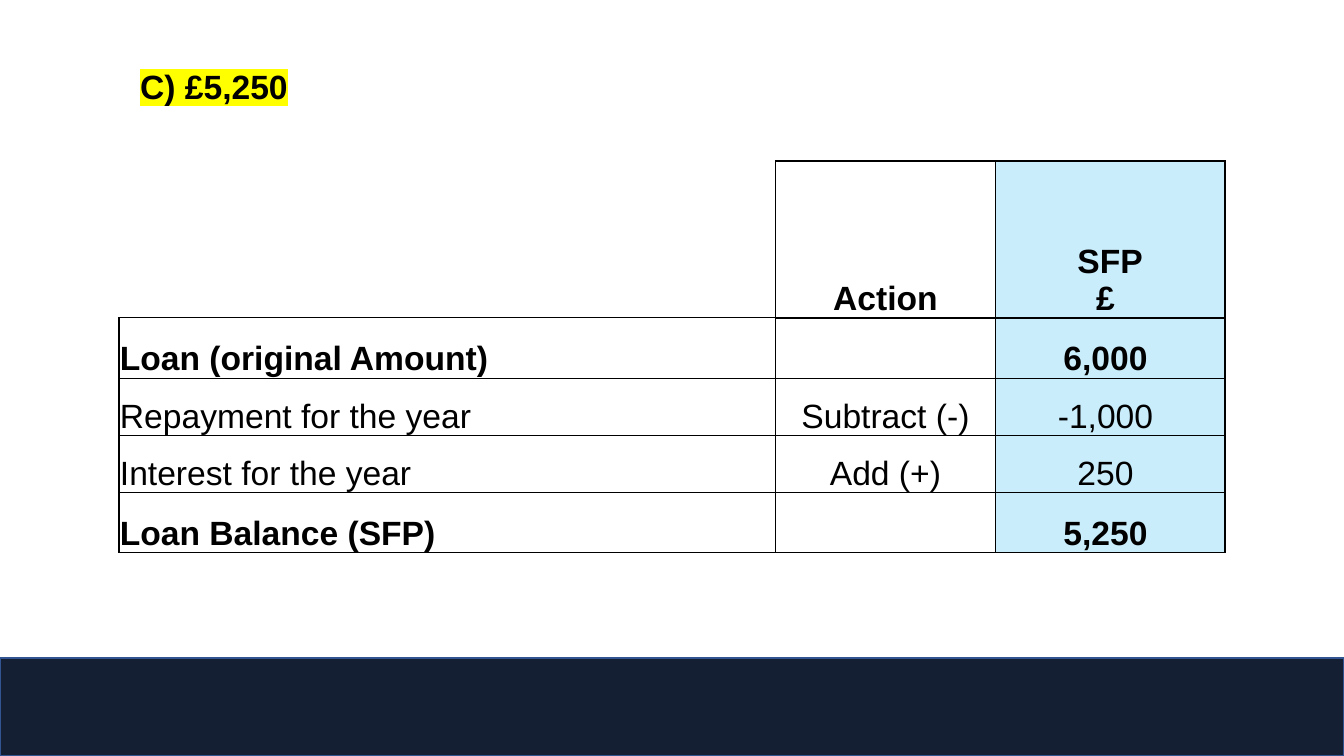
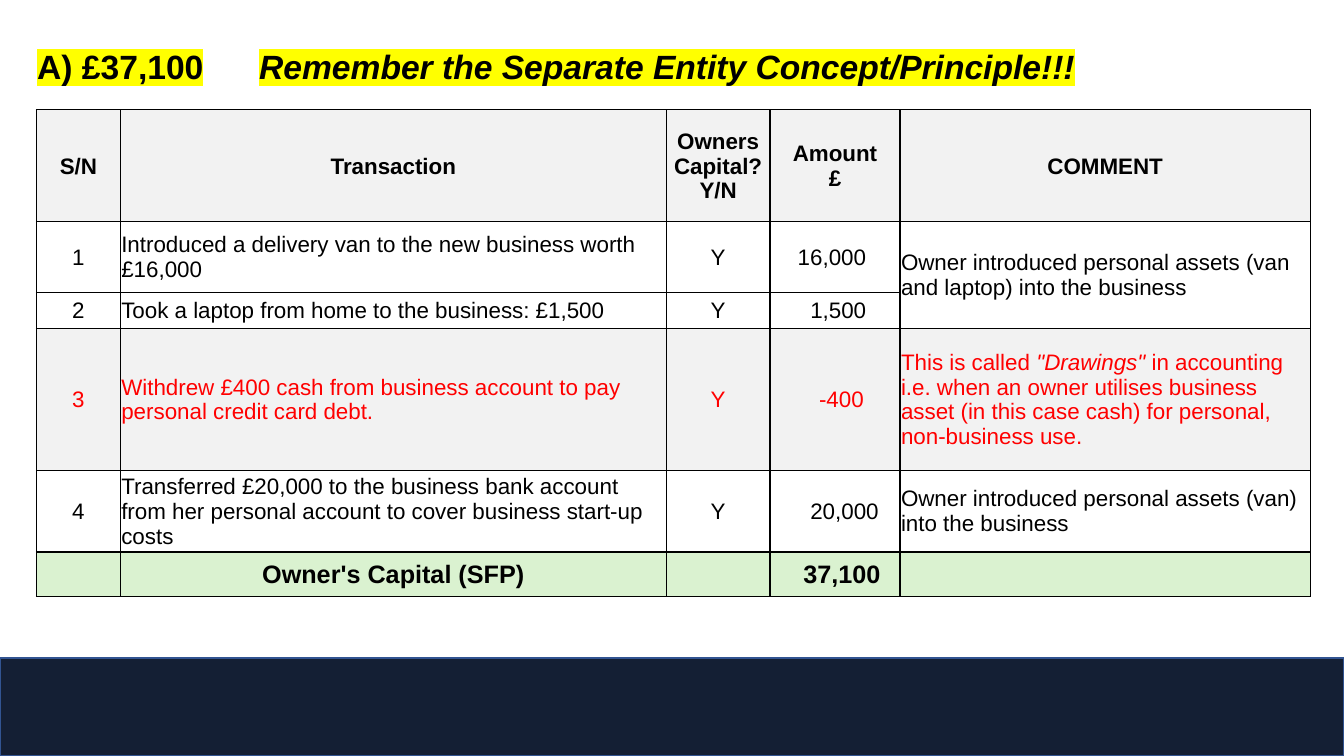
from dataclasses import dataclass
from typing import Optional, Union

from lxml.etree import SubElement
from pptx import Presentation
from pptx.dml.color import RGBColor
from pptx.enum.shapes import MSO_SHAPE as Shape
from pptx.enum.text import MSO_ANCHOR as Anchor, MSO_AUTO_SIZE as AutoSize, PP_ALIGN as Align
from pptx.oxml.ns import qn
from pptx.util import Pt

BLACK = RGBColor(0x00, 0x00, 0x00)
RED = RGBColor(0xFF, 0x00, 0x00)
YELLOW = RGBColor(0xFF, 0xFF, 0x00)
NAVY = RGBColor(0x14, 0x1F, 0x34)
BAND_EDGE = RGBColor(0x32, 0x54, 0x91)
SKY = RGBColor(0xCA, 0xED, 0xFB)
GREY = RGBColor(0xF2, 0xF2, 0xF2)
GREEN = RGBColor(0xDA, 0xF2, 0xD0)

FONT = "Arial"
SLIDE_W, SLIDE_H, BAND_H = 960, 540, 70
CELL_INSET = 0.7
NO_GRID_STYLE = "{2D5ABB26-0587-4C30-8999-92F81FD0307C}"


@dataclass(frozen=True)
class Span:
    text: str
    italic: bool = False
    highlight: Optional[RGBColor] = None


@dataclass(frozen=True)
class Cell:
    """Edges are the left, top, right and bottom border widths; 0 draws none."""
    spans: tuple[Span, ...] = ()
    indent: float = 0
    edges: Optional[tuple[float, float, float, float]] = None
    row_span: int = 1


@dataclass(frozen=True)
class Column:
    width: float
    align: Align = Align.CENTER
    fill: Optional[RGBColor] = None


@dataclass(frozen=True)
class Row:
    height: float
    cells: tuple[Union[str, Cell], ...]
    top: float = 0.5
    bottom: float = 0.5
    inner: float = 1
    size: float = 16
    bold: bool = False
    centred: bool = False
    color: RGBColor = BLACK
    fill: Optional[RGBColor] = None


def indented(text: str, indent: float) -> Cell:
    return Cell((Span(text),), indent=indent)


def write_spans(paragraph, spans: tuple[Span, ...]) -> None:
    for span in spans:
        for index, line in enumerate(span.text.split("\n")):
            if index:
                paragraph.add_line_break()
            run = paragraph.add_run()
            run.text = line
            if span.italic:
                run.font.italic = True
            if span.highlight is not None:
                mark = SubElement(run._r.get_or_add_rPr(), qn("a:highlight"))
                SubElement(mark, qn("a:srgbClr"), val=str(span.highlight))


def set_font(paragraph, size: float, bold: bool, color: RGBColor) -> None:
    font = paragraph.font
    font.name, font.size, font.bold = FONT, Pt(size), bold
    font.color.rgb = color


def add_footer_band(slide) -> None:
    band = slide.shapes.add_shape(
        Shape.RECTANGLE, 0, Pt(SLIDE_H - BAND_H), Pt(SLIDE_W), Pt(BAND_H))
    band.shadow.inherit = False
    band.fill.solid()
    band.fill.fore_color.rgb = NAVY
    band.line.color.rgb = BAND_EDGE
    band.line.width = Pt(1)


def add_answer(slide, left: float, top: float, spans: tuple[Span, ...],
               tabs: tuple[float, ...] = ()) -> None:
    """Write the highlighted answer line at the head of a slide."""
    frame = slide.shapes.add_textbox(Pt(left), Pt(top), Pt(813), Pt(87)).text_frame
    frame.word_wrap = True
    frame.auto_size = AutoSize.SHAPE_TO_FIT_TEXT
    paragraph = frame.paragraphs[0]
    paragraph.line_spacing = 1.5
    if tabs:
        stops = SubElement(paragraph._p.get_or_add_pPr(), qn("a:tabLst"))
        for position in tabs:
            SubElement(stops, qn("a:tab"), pos=str(Pt(position)), algn="l")
    set_font(paragraph, 24, True, BLACK)
    write_spans(paragraph, spans)


def set_borders(cell, edges: tuple[float, float, float, float]) -> None:
    left, top, right, bottom = edges
    properties = cell._tc.get_or_add_tcPr()
    for side, width in (("L", left), ("R", right), ("T", top), ("B", bottom)):
        line = SubElement(properties, qn(f"a:ln{side}"), w=str(Pt(width)))
        if width:
            paint = SubElement(line, qn("a:solidFill"))
            SubElement(paint, qn("a:srgbClr"), val=str(BLACK))
        else:
            SubElement(line, qn("a:noFill"))


def fill_cell(cell, content: Cell, row: Row, column: Column, anchor: Anchor) -> None:
    cell.margin_left = Pt(CELL_INSET + content.indent)
    cell.margin_right = cell.margin_top = Pt(CELL_INSET)
    cell.margin_bottom = 0
    cell.vertical_anchor = anchor
    paint = row.fill or column.fill
    if paint is None or content.edges is not None:
        cell.fill.background()
    else:
        cell.fill.solid()
        cell.fill.fore_color.rgb = paint
    paragraph = cell.text_frame.paragraphs[0]
    paragraph.alignment = Align.CENTER if row.centred else column.align
    set_font(paragraph, row.size, row.bold, row.color)
    write_spans(paragraph, content.spans)


def add_ledger(slide, left: float, top: float, columns: tuple[Column, ...],
               rows: tuple[Row, ...], anchor: Anchor) -> None:
    frame = slide.shapes.add_table(
        len(rows), len(columns), Pt(left), Pt(top),
        Pt(sum(column.width for column in columns)), Pt(sum(row.height for row in rows)))
    for style in frame.element.iter(qn("a:tableStyleId")):
        style.text = NO_GRID_STYLE
    table = frame.table
    table.first_row = table.horz_banding = False
    for c, column in enumerate(columns):
        table.columns[c].width = Pt(column.width)
    last = len(columns) - 1
    for r, row in enumerate(rows):
        table.rows[r].height = Pt(row.height)
        for c, item in enumerate(row.cells):
            content = item if isinstance(item, Cell) else Cell((Span(item),) if item else ())
            cell = table.cell(r, c)
            edges = content.edges or (
                row.inner if c else 1, row.top, row.inner if c < last else 1, row.bottom)
            set_borders(cell, edges)
            fill_cell(cell, content, row, columns[c], anchor)
            if content.row_span > 1:
                cell.merge(table.cell(r + content.row_span - 1, c))


LOAN_COLUMNS = (Column(469, Align.LEFT), Column(157), Column(164, fill=SKY))
LOAN_ROWS = (
    Row(112, (Cell(edges=(0, 0, 1, 1)), "Action", "SFP\n£ "),
        top=1, bottom=2, size=24, bold=True),
    Row(43, (Cell((Span("Loan (original Amount)"),), edges=(1, 1, 0.5, 0.5)), "", "6,000 "),
        top=2, inner=0.5, size=24, bold=True),
    Row(41, ("Repayment for the year", "Subtract (-)", "-1,000 "), inner=0.5, size=24),
    Row(41, ("Interest for the year", "Add (+)", "250 "), inner=0.5, size=24),
    Row(43, ("Loan Balance (SFP)", "", "5,250 "), bottom=1, inner=0.5, size=24, bold=True),
)

CAPITAL_COLUMNS = (
    Column(60), Column(390, Align.LEFT), Column(74), Column(93), Column(293, Align.LEFT))
ASSETS_COMMENT = Cell(
    (Span("Owner introduced personal assets (van and laptop) into the business"),), row_span=2)
DRAWINGS_COMMENT = Cell((
    Span("This is called "),
    Span('"Drawings"', italic=True),
    Span(" in accounting i.e. when an owner utilises business asset "
         "(in this case cash) for personal, non-business use."),
))
CAPITAL_ROWS = (
    Row(80, ("S/N", "Transaction", "Owners Capital?\nY/N", "Amount\n£", "COMMENT"),
        top=1, bottom=1, bold=True, centred=True, fill=GREY),
    Row(50, ("1", "Introduced a delivery van to the new business worth £16,000",
             "Y", "16,000 ", ASSETS_COMMENT), top=1),
    Row(26, ("2", "Took a laptop from home to the business: £1,500",
             "Y", indented("1,500 ", 9), "")),
    Row(101.5, ("3", "Withdrew £400 cash from business account to pay personal credit card debt.",
                "Y", indented("-400 ", 13.5), DRAWINGS_COMMENT), color=RED, fill=GREY),
    Row(58, ("4", "Transferred £20,000 to the business bank account from her personal "
                  "account to cover business start-up costs",
             "Y", indented("20,000 ", 18),
             "Owner introduced personal assets (van) into the business"), bottom=2),
    Row(32, ("", "Owner's Capital (SFP)", "", indented("37,100 ", 15), ""),
        top=2, bottom=1, size=18, bold=True, centred=True, fill=GREEN),
)


def main() -> None:
    prs = Presentation()
    prs.slide_width, prs.slide_height = Pt(SLIDE_W), Pt(SLIDE_H)
    blank = prs.slide_layouts[6]

    loan = prs.slides.add_slide(blank)
    add_footer_band(loan)
    add_answer(loan, 93, 29, (Span("C) £5,250", highlight=YELLOW),))
    add_ledger(loan, 85, 115, LOAN_COLUMNS, LOAN_ROWS, Anchor.BOTTOM)

    capital = prs.slides.add_slide(blank)
    add_footer_band(capital)
    add_answer(capital, 19.5, 14.5, (
        Span("A) £37,100\t", highlight=YELLOW),
        Span("\t"),
        Span("Remember the Separate Entity Concept/Principle!!!", italic=True, highlight=YELLOW),
    ), tabs=(132, 158.5))
    add_ledger(capital, 26, 78.5, CAPITAL_COLUMNS, CAPITAL_ROWS, Anchor.MIDDLE)

    prs.save("out.pptx")


if __name__ == "__main__":
    main()
